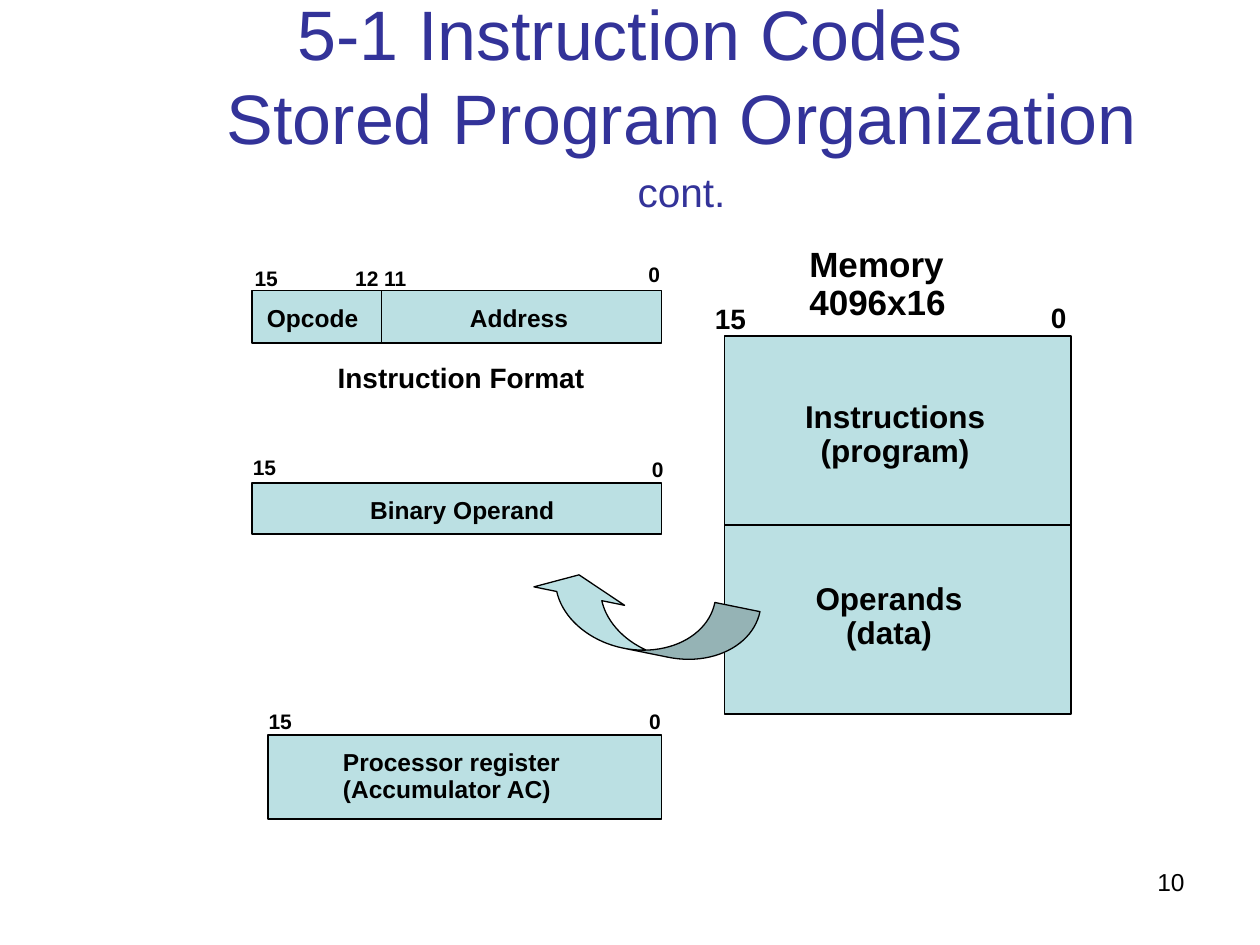
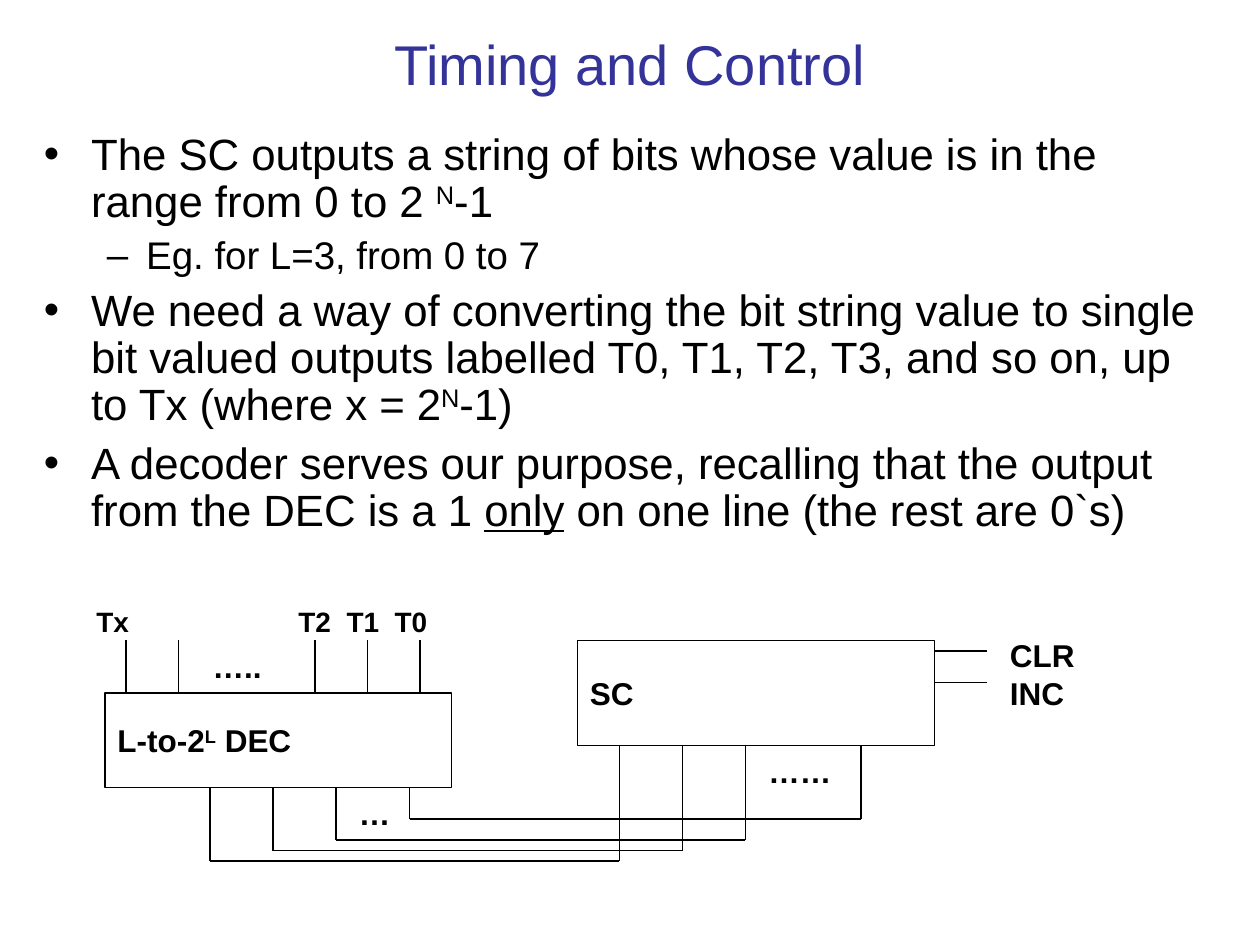
from itertools import pairwise

from lxml import etree
from pptx import Presentation
from pptx.dml.color import RGBColor
from pptx.enum import shapes, text
from pptx.oxml import ns
from pptx.util import Pt

BLACK = RGBColor(0x00, 0x00, 0x00)
WHITE = RGBColor(0xFF, 0xFF, 0xFF)
TITLE_BLUE = RGBColor(0x33, 0x33, 0x99)
AQUA = RGBColor(0xBB, 0xE0, 0xE3)
FONT = "Arial"
LEFT, CENTER, RIGHT = text.PP_ALIGN.LEFT, text.PP_ALIGN.CENTER, text.PP_ALIGN.RIGHT
TOP, MIDDLE = text.MSO_ANCHOR.TOP, text.MSO_ANCHOR.MIDDLE


def add_runs(p, runs, size, bold=False, color=BLACK):
    """Add a string or (text, style) pairs; style is "", "sup" or "underline"."""
    for content, style in [(runs, "")] if isinstance(runs, str) else runs:
        for i, line in enumerate(content.split("\n")):
            if i:
                p.add_line_break()
            r = p.add_run()
            r.text = line
            r.font.name, r.font.size, r.font.bold = FONT, Pt(size), bold
            r.font.color.rgb = color
            if style == "underline":
                r.font.underline = True
            elif style == "sup":
                r.font._element.set("baseline", "30000")


def setup_frame(sp, anchor=TOP, inset=7.2):
    tf = sp.text_frame
    tf.word_wrap = True
    tf.vertical_anchor = anchor
    tf.margin_left = tf.margin_right = Pt(inset)
    tf.margin_top = tf.margin_bottom = Pt(3.6)
    return tf


def add_frame(slide, box, anchor=TOP, inset=7.2):
    return setup_frame(slide.shapes.add_textbox(*map(Pt, box)), anchor, inset)


def indent(p, margin, hanging):
    pPr = p._p.get_or_add_pPr()
    pPr.set("marL", str(Pt(margin)))
    pPr.set("indent", str(Pt(-hanging)))
    return pPr


def add_title(slide, box, runs, size, hanging=0):
    p = add_frame(slide, box, MIDDLE).paragraphs[0]
    p.alignment = CENTER
    indent(p, hanging, hanging)
    add_runs(p, runs, size, color=TITLE_BLUE)


def add_label(slide, x, y, w, content, size, align=LEFT):
    """Bold, tightly spaced diagram label."""
    p = add_frame(slide, (x, y, w, size * 2), inset=6.5).paragraphs[0]
    p.alignment, p.line_spacing = align, 0.9
    add_runs(p, content, size, bold=True)


def add_block(slide, box, fill=None, line=1, kind=shapes.MSO_SHAPE.RECTANGLE):
    sp = slide.shapes.add_shape(kind, *map(Pt, box))
    sp.shadow.inherit = False
    if fill is None:
        sp.fill.background()
    else:
        sp.fill.solid()
        sp.fill.fore_color.rgb = fill
    sp.line.color.rgb, sp.line.width = BLACK, Pt(line)
    return sp


def add_wire(slide, *points, width=0.75):
    """Draw straight segments through the points; return the last one."""
    for start, end in pairwise(points):
        c = slide.shapes.add_connector(shapes.MSO_CONNECTOR.STRAIGHT,
                                       *map(Pt, start + end))
        c.line.color.rgb, c.line.width = BLACK, Pt(width)
        etree.SubElement(c._element.spPr, ns.qn("a:effectLst"))
    return c


def add_word(slide, box, captions, bits):
    """Machine word; captions are (text, dx, dy, width), bits (text, dx, dy)."""
    x, y = box[:2]
    add_block(slide, box, AQUA)
    for caption, dx, dy, w in captions:
        add_label(slide, x + dx, y + dy, w, caption, 14)
    for bit, dx, dy in bits:
        add_label(slide, x + dx, y + dy, 36, bit, 12)


def add_memory(slide, box):
    x, y, w, h = box
    memory = add_block(slide, box, AQUA)
    divider = add_wire(slide, (x, y + h / 2), (x + w, y + h / 2))
    divider.begin_connect(memory, 1)
    divider.end_connect(memory, 3)
    add_label(slide, x + 42, y - 54, 108, "Memory 4096x16", 20)
    add_label(slide, x + 34.5, y + 34, 126, "Instructions (program)", 18, CENTER)
    add_label(slide, x + 42, y + 138, 104, "Operands (data)", 18, CENTER)
    add_label(slide, x - 12, y - 21, 40, "15", 16)
    add_label(slide, x + 180, y - 21.5, 36, "0", 16)


def add_load_arrow(slide, box):
    arrow = add_block(slide, box, AQUA, 0.75, shapes.MSO_SHAPE.CURVED_LEFT_ARROW)
    arrow.rotation = 101.5
    for i, share in enumerate((0.73, 1.47, 0.33)):
        arrow.adjustments[i] = share


def build_stored_program(slide):
    p = add_frame(slide, (516, 492, 168, 37)).paragraphs[0]
    p.alignment = RIGHT
    add_runs(p, "10", 14)
    add_title(slide, (36, 21.5, 648, 90),
              [("5-1 Instruction Codes\nStored Program Organization ", ""),
               ("cont.", "sup")], 40, hanging=59)

    x, y, w, h = instruction = (144, 166, 234, 30)
    add_word(slide, instruction,
             [("Opcode", 2, 5.5, 84), ("Address", 118, 5.5, 80)],
             [("15", -5, -16), ("12", 52.5, -16), ("11", 69, -16), ("0", 220, -18.5)])
    add_wire(slide, (x + 74, y), (x + 74, y + h), width=1)
    add_label(slide, x + 42.5, y + 38.5, 192, "Instruction Format", 16)

    add_word(slide, (144, 276, 234, 29), [("Binary Operand", 61, 5, 174)],
             [("15", -6, -18), ("0", 222, -17)])
    add_word(slide, (153, 420, 225, 48),
             [("Processor register (Accumulator AC)", 36.5, 5.5, 144)],
             [("15", -6, -17), ("0", 211.5, -17)])
    add_memory(slide, (414, 192, 198, 216))
    add_load_arrow(slide, (348, 288, 36, 132))


def add_bullets(slide, box, items):
    """Items are (level, runs)."""
    levels = [("•", 25, 27, 27, 6.2), ("–", 22, 58.5, 22.5, 5.5)]
    tf = add_frame(slide, box)
    for i, (level, runs) in enumerate(items):
        mark, size, margin, hanging, before = levels[level]
        p = tf.add_paragraph() if i else tf.paragraphs[0]
        p.line_spacing, p.space_before = 0.9, Pt(before)
        pPr = indent(p, margin, hanging)
        etree.SubElement(pPr, ns.qn("a:buFont"), typeface=FONT)
        etree.SubElement(pPr, ns.qn("a:buChar"), char=mark)
        add_runs(p, runs, size)


def add_unit(slide, box, name, fill=None):
    tf = setup_frame(add_block(slide, box, fill, 0.75), MIDDLE)
    tf.paragraphs[0].alignment = LEFT
    add_runs(tf.paragraphs[0], name, 18, bold=True)


def add_plain_label(slide, box, *lines):
    tf = add_frame(slide, box)
    for i, line in enumerate(lines):
        p = tf.add_paragraph() if i else tf.paragraphs[0]
        add_runs(p, line, 18, bold=True)


def add_counter(slide, box):
    x, y, w, h = box
    add_unit(slide, box, "SC")
    for dy in (6, 24):
        add_wire(slide, (x + w, y + dy), (x + w + 30, y + dy))
    add_plain_label(slide, (x + w + 36, y - 6, 60, 50), "CLR", "INC")
    add_plain_label(slide, (x + 102, y + h, 60, 29), "……")


def add_decoder(slide, box):
    x, y, w, h = box
    add_unit(slide, box, [("L-to-2", ""), ("L", "sup"), (" DEC", "")], WHITE)
    for dx in (12, 42, 120, 150, 180):
        add_wire(slide, (x + dx, y), (x + dx, y - 30))
    add_plain_label(slide, (x + 54.5, y - 30, 50, 29), "…..")
    add_plain_label(slide, (x + 138, y + h, 40, 29), "…")

    p = add_frame(slide, (x - 12, y - 54, 216, 27)).paragraphs[0]
    tabs = etree.SubElement(p._p.get_or_add_pPr(), ns.qn("a:tabLst"))
    for i in range(3):
        etree.SubElement(tabs, ns.qn("a:tab"), pos=str(Pt(115.5 + 27.5 * i)), algn="l")
    add_runs(p, "Tx\tT2\tT1\tT0", 16, bold=True)


def build_timing(slide):
    add_title(slide, (0, 0, 720, 72), "Timing and Control", 32)
    add_bullets(slide, (18, 72, 684, 264), [
        (0, [("The SC outputs a string of bits whose value is in the "
              "range from 0 to 2 ", ""), ("N", "sup"), ("-1", "")]),
        (1, "Eg. for L=3, from 0 to 7"),
        (0, [("We need a way of converting the bit string value to single bit "
              "valued outputs labelled T0, T1, T2, T3, and so on, up to Tx "
              "(where x = 2", ""), ("N", "sup"), ("-1)", "")]),
        (0, [("A decoder serves our purpose, recalling that the output from "
              "the DEC is a 1 ", ""), ("only", "underline"),
             (" on one line (the rest are 0`s)", "")]),
    ])
    counter, decoder = (330, 366, 204, 60), (60, 396, 198, 54)
    add_counter(slide, counter)
    add_decoder(slide, decoder)
    counter_bottom = counter[1] + counter[3]
    decoder_bottom = decoder[1] + decoder[3]
    for from_x, bus_y, to_x in ((354, 492, 120), (390, 486, 156),
                                (426, 480, 192), (492, 468, 234)):
        add_wire(slide, (from_x, counter_bottom), (from_x, bus_y),
                 (to_x, bus_y), (to_x, decoder_bottom))


def main():
    prs = Presentation()
    prs.slide_width, prs.slide_height = Pt(720), Pt(540)
    for build in (build_stored_program, build_timing):
        build(prs.slides.add_slide(prs.slide_layouts[6]))
    prs.save("out.pptx")


if __name__ == "__main__":
    main()
